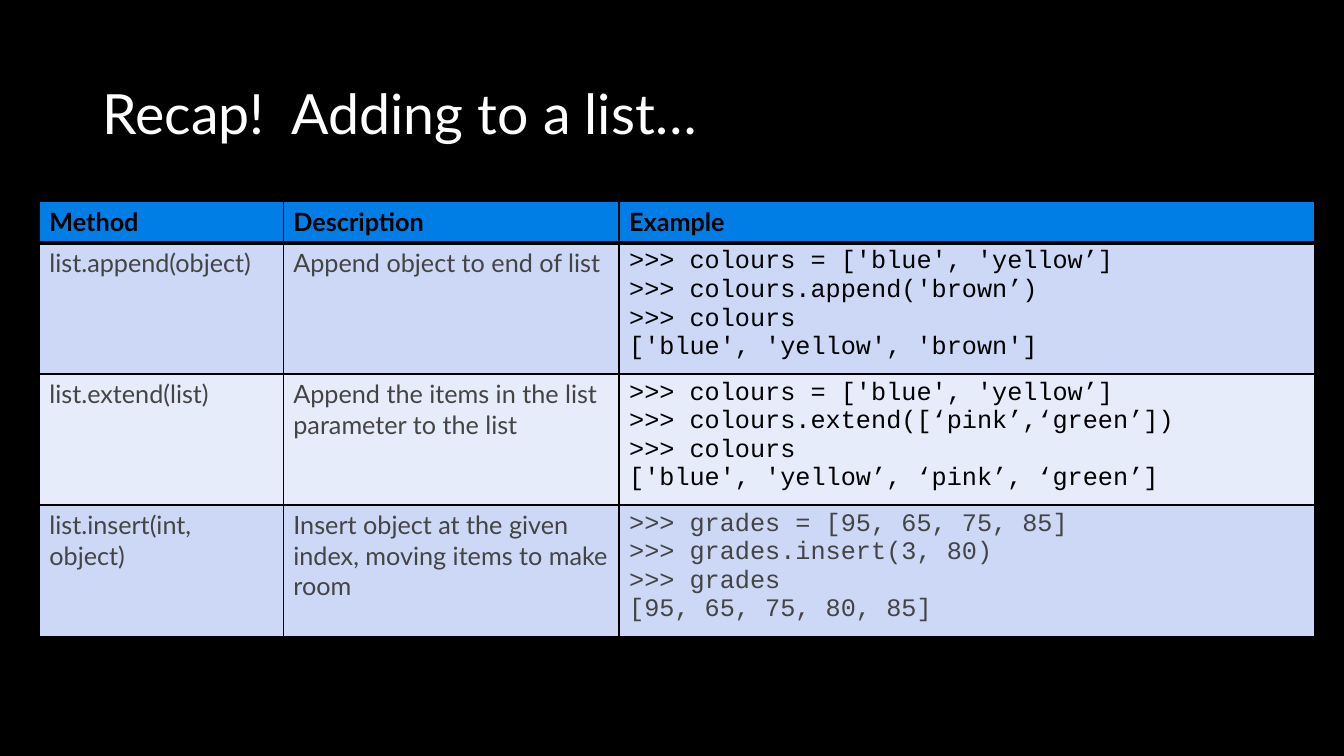
from lxml.etree import SubElement
from pptx import Presentation
from pptx.dml.color import RGBColor as RGB
from pptx.enum.text import MSO_ANCHOR as Anchor
from pptx.oxml.ns import qn
from pptx.util import Inches, Pt

COLORS = {
    "black": "000000",
    "white": "FFFFFF",
    "header": "017EE5",
    "odd": "CCD8F5",
    "even": "E7ECFA",
    "grey": "444445",
}
SANS, MONO = "Lato", "Courier New"
HEADINGS = ["Method", "Description", "Example"]
METHODS = [
    ("list.append(object)", "Append object to end of list",
     ">>> colours = ['blue', 'yellow’]\v>>> colours.append('brown’)\v"
     ">>> colours\v['blue', 'yellow', 'brown']", "black"),
    ("list.extend(list)", "Append the items in the list parameter to the list",
     ">>> colours = ['blue', 'yellow’]\v>>> colours.extend([‘pink’,‘green’])\v"
     ">>> colours\v['blue', 'yellow’, ‘pink’, ‘green’]", "black"),
    ("list.insert(int, object)",
     "Insert object at the given index, moving items to make room",
     ">>> grades = [95, 65, 75, 85]\n>>> grades.insert(3, 80)\n"
     ">>> grades\n[95, 65, 75, 80, 85]", "grey"),
]
COLUMN_WIDTHS = [2.42, 3.33, 6.9]
HEADER_HEIGHT, METHOD_HEIGHT = 0.41, 1.23


def color(name):
    return RGB.from_string(COLORS[name])


def style(paragraph, face, size, ink, bold=False):
    font = paragraph.font
    font.name, font.size, font.bold = face, Pt(size), bold
    font.color.rgb = color(ink)


def add_borders(cell, top, bottom):
    properties = cell._tc.get_or_add_tcPr()
    sides = {"lnL": 1, "lnR": 1, "lnT": top, "lnB": bottom}
    for position, (side, width) in enumerate(sides.items()):
        line = SubElement(properties, qn(f"a:{side}"), w=str(Pt(width)))
        solid = SubElement(line, qn("a:solidFill"))
        SubElement(solid, qn("a:srgbClr"), val=COLORS["black"])
        properties.insert(position, line)


def fill_cell(cell, text, face, ink, fill, bold=False, top=1, bottom=1):
    cell.text_frame.text = text
    for paragraph in cell.text_frame.paragraphs:
        style(paragraph, face, 18, ink, bold)
    cell.fill.solid()
    cell.fill.fore_color.rgb = color(fill)
    add_borders(cell, top, bottom)


def add_title(slide, left, top, width, height):
    title = slide.shapes.add_textbox(
        Inches(left), Inches(top), Inches(width), Inches(height)).text_frame
    title.word_wrap = True
    title.vertical_anchor = Anchor.MIDDLE
    heading = title.paragraphs[0]
    heading.text = "Recap!  Adding to a list…"
    heading.line_spacing = 0.9
    style(heading, SANS, 39.6, "white")


def add_methods(slide, left, top):
    heights = [HEADER_HEIGHT] + [METHOD_HEIGHT] * len(METHODS)
    methods = slide.shapes.add_table(
        len(heights), len(HEADINGS), Inches(left), Inches(top),
        Inches(sum(COLUMN_WIDTHS)), Inches(sum(heights))).table
    for column, width in zip(methods.columns, COLUMN_WIDTHS):
        column.width = Inches(width)
    for row, height in zip(methods.rows, heights):
        row.height = Inches(height)
    for column, heading in enumerate(HEADINGS):
        fill_cell(methods.cell(0, column), heading, SANS, "black", "header",
                  bold=True, bottom=3)
    for row, (method, description, example, code_ink) in enumerate(METHODS, 1):
        fill = "odd" if row % 2 else "even"
        top_width = 3 if row == 1 else 1
        contents = [(method, SANS, "grey"), (description, SANS, "grey"),
                    (example, MONO, code_ink)]
        for column, (text, face, ink) in enumerate(contents):
            fill_cell(methods.cell(row, column), text, face, ink, fill,
                      top=top_width)


def main():
    deck = Presentation()
    deck.slide_width, deck.slide_height = Inches(13.33), Inches(7.5)
    slide = deck.slides.add_slide(deck.slide_layouts[6])
    slide.background.fill.solid()
    slide.background.fill.fore_color.rgb = color("black")
    add_title(slide, 0.92, 0.8, 11.5, 0.72)
    add_methods(slide, 0.39, 2)
    deck.save("out.pptx")


if __name__ == "__main__":
    main()
